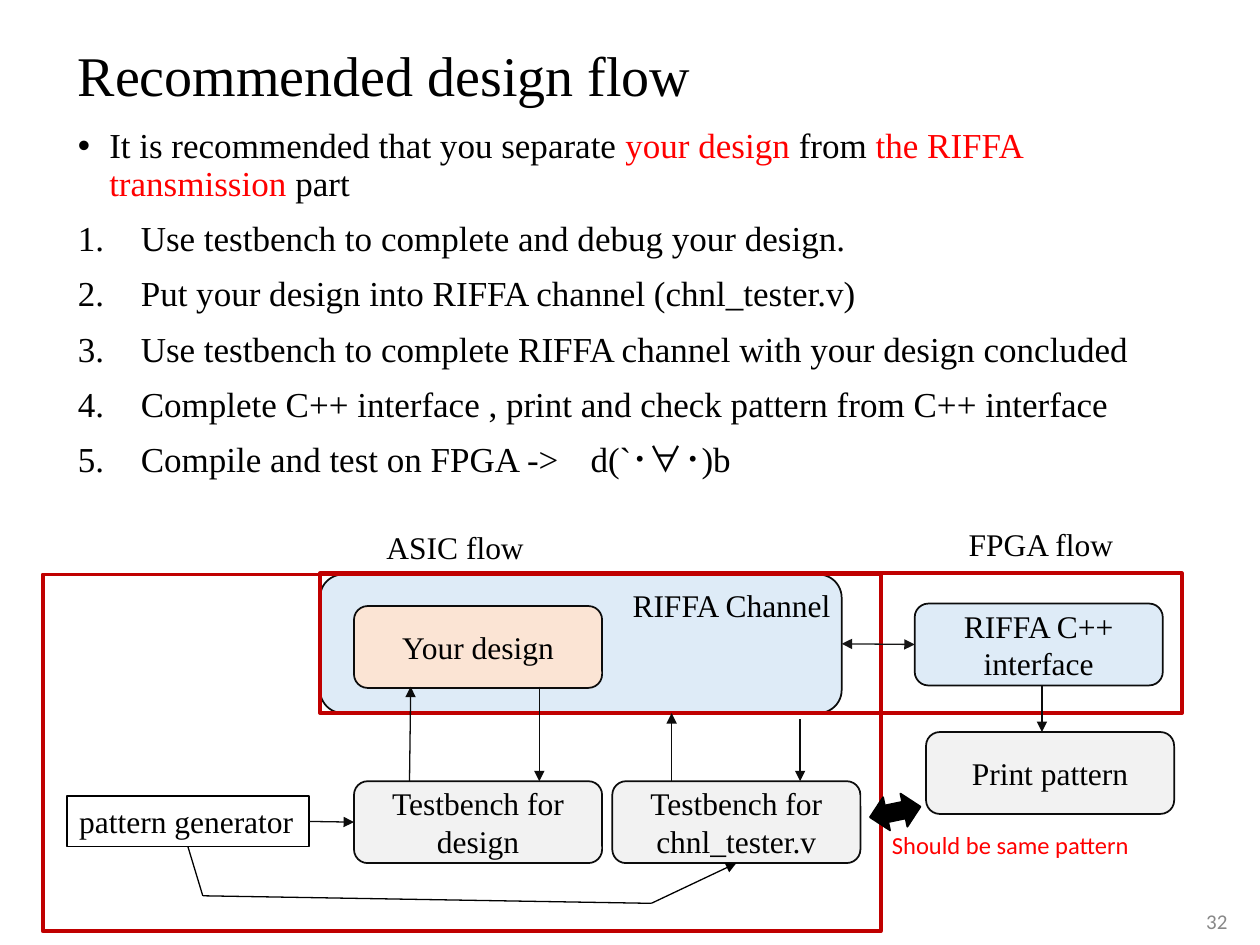
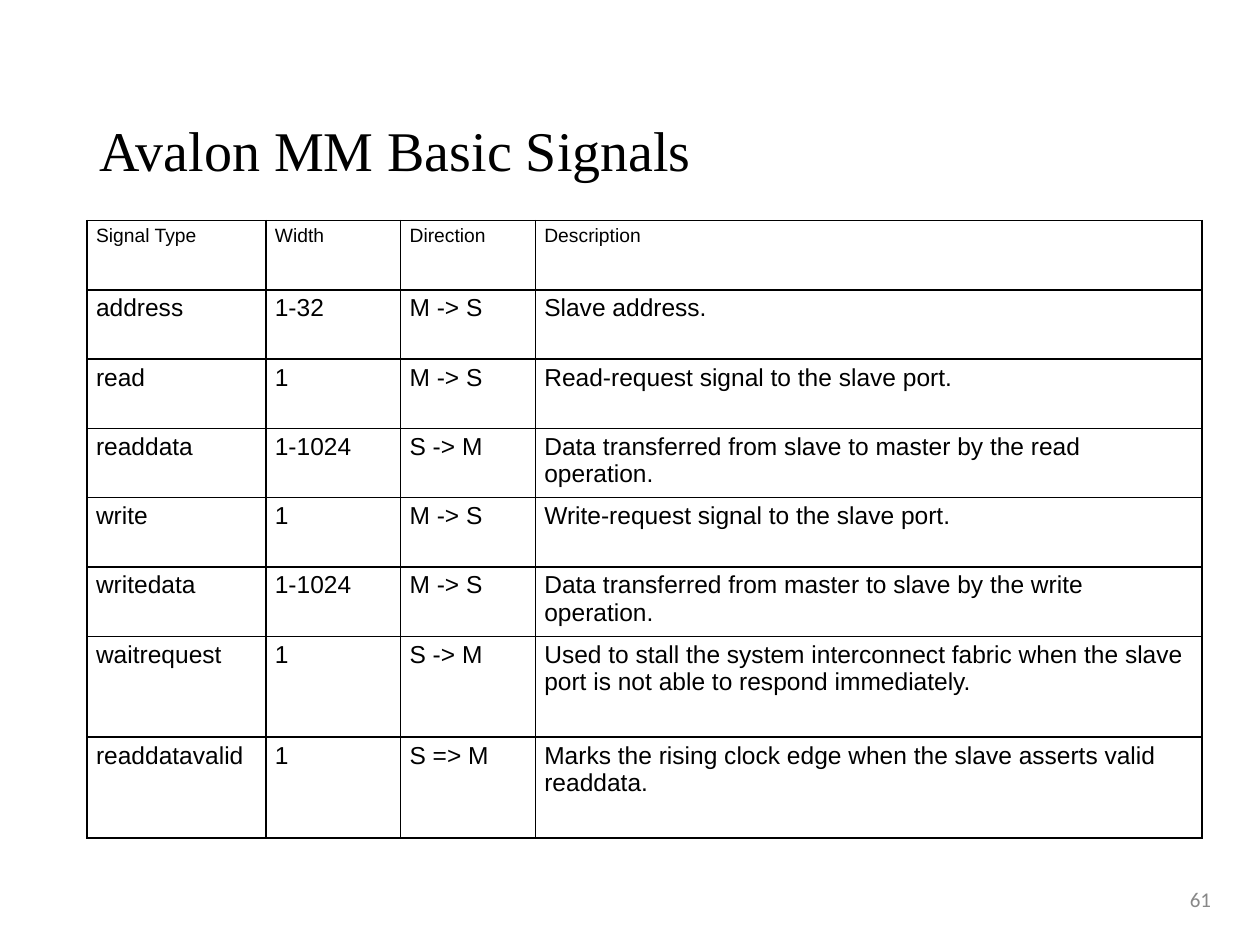
from dataclasses import dataclass
from typing import Optional

from lxml import etree
from pptx import Presentation
from pptx import util as u
from pptx.dml import color as dml
from pptx.enum import shapes, text
from pptx.oxml import ns

Pt = u.Pt
COLORS = {
    "black": "000000",
    "ink": "0C0C0C",
    "channel arrow": "171616",
    "red": "FF0000",
    "frame": "C00000",
    "blue": "DEEBF7",
    "orange": "FBE4D4",
    "grey": "F2F2F2",
    "number": "888888",
}
SERIF, SANS, TABLE_FONT = "Times New Roman", "Calibri", "Arial"
ALIGN, ANCHOR, PRESET = text.PP_ALIGN, text.MSO_ANCHOR, shapes.MSO_SHAPE
TOP, LEFT, BOTTOM, RIGHT = range(4)
NODE_WIDTH, NODE_HEIGHT = 141.8, 46.8
TESTBENCH_TOP = 446.4
DESIGN_BOTTOM = 392.4


@dataclass(frozen=True)
class Block:
    name: str
    left: float
    top: float
    width: float = NODE_WIDTH
    height: float = NODE_HEIGHT
    words: str = ""
    fill: Optional[str] = None
    line: str = "ink"
    weight: float = 1
    preset: int = PRESET.ROUNDED_RECTANGLE
    align: int = ALIGN.CENTER
    anchor: int = ANCHOR.MIDDLE
    rotation: float = 0


@dataclass(frozen=True)
class Label:
    words: str
    left: float
    top: float
    width: float
    height: float = 28.8
    size: float = 18
    font: str = SERIF
    color: str = "black"
    align: int = ALIGN.LEFT
    anchor: int = ANCHOR.TOP
    spacing: Optional[float] = None


@dataclass(frozen=True)
class Arrow:
    start: tuple
    end: tuple
    color: str = "ink"
    head: bool = False
    tail: bool = True
    source: Optional[tuple] = None
    target: Optional[tuple] = None


BLOCKS = [
    Block("channel", 182.9, 328.3, 298.1, 79.2, fill="blue"),
    Block("design", 202.3, 346.3, words="Your design", fill="orange"),
    Block("design bench", 202.3, TESTBENCH_TOP, words="Testbench for\ndesign", fill="grey"),
    Block("channel bench", 349.9, TESTBENCH_TOP, words="Testbench for\nchnl_tester.v", fill="grey"),
    Block("generator", 38.2, 455, 138.4, 28.8, "pattern generator", line="black",
          preset=PRESET.RECTANGLE, align=ALIGN.LEFT, anchor=ANCHOR.TOP),
    Block("interface", 522.7, 344.9, words="RIFFA C++ interface", fill="blue"),
    Block("print", 529.2, 418.3, words="Print pattern", fill="grey"),
    Block("ASIC frame", 24.5, 328.3, 478.8, 203.8, line="frame", weight=2.25,
          preset=PRESET.RECTANGLE),
    Block("FPGA frame", 182.9, 327.6, 492.5, 79.9, line="frame", weight=2.25,
          preset=PRESET.RECTANGLE),
    Block("same pattern", 496.8, 454.3, 29.5, 19.4, fill="black", line="black",
          preset=PRESET.LEFT_RIGHT_ARROW, rotation=348.2),
]
LABELS = [
    Label("RIFFA Channel", 354.4, 331.2, 133),
    Label("ASIC flow", 213.8, 298.1, 93.6),
    Label("FPGA flow", 546.5, 296.6, 97.9),
    Label("Should be same pattern", 502.6, 470.9, 151.2, 24.5, 14, SANS, "red"),
]
ARROWS = [
    Arrow((176.6, 469.4), (202.3, 469.8), source=("generator", RIGHT),
          target=("design bench", LEFT)),
    Arrow((234, TESTBENCH_TOP), (234.7, DESIGN_BOTTOM)),
    Arrow((308.2, DESIGN_BOTTOM), (308.2, TESTBENCH_TOP)),
    Arrow((481, 367.9), (522.7, 368.3), "channel arrow", head=True,
          source=("channel", RIGHT), target=("interface", LEFT)),
    Arrow((383.8, TESTBENCH_TOP), (383.8, 407.5)),
    Arrow((457.2, 411.1), (457.2, TESTBENCH_TOP)),
    Arrow((595.4, 391.7), (595.4, 418.3)),
    Arrow((107.4, 483.8), (115.9, 511.9), "black", tail=False, source=("generator", BOTTOM)),
    Arrow((115.9, 511.9), (372.2, 516.2), "black", tail=False),
    Arrow((372.2, 516.2), (420.8, 493.2), "black", target=("channel bench", BOTTOM)),
]
ADVICE = [
    ("It is recommended that you separate ", "black"),
    ("your design ", "red"),
    ("from", "black"),
    (" the RIFFA transmission", "red"),
    (" part", "black"),
]
STEPS = [
    "Use testbench to complete and debug your design.",
    "Put your design into RIFFA channel (chnl_tester.v)",
    "Use testbench to complete RIFFA channel with your design concluded",
    "Complete C++ interface , print and check pattern from C++ interface",
    "Compile and test on FPGA ->\t d(`･∀･)b",
]
SIGNALS = [
    ("Signal Type", "Width", "Direction", "Description"),
    ("address", "1-32", "M -> S", "Slave address."),
    ("read", "1", "M -> S", "Read-request signal to the slave port."),
    ("readdata", "1-1024", "S -> M", "Data transferred from slave to master by the read operation."),
    ("write", "1", "M -> S", "Write-request signal to the slave port."),
    ("writedata", "1-1024", "M -> S",
     "Data transferred from master to slave by the write operation."),
    ("waitrequest", "1", "S -> M",
     "Used to stall the system interconnect fabric when the slave port is not able to "
     "respond immediately."),
    ("readdatavalid", "1", "S => M",
     "Marks the rising clock edge when the slave asserts valid readdata."),
]
COLUMN_WIDTHS = [102.2, 77, 77, 380.9]
ROW_HEIGHTS = [39.6] * 6 + [57.6] * 2


def rgb(name: str) -> dml.RGBColor:
    return dml.RGBColor.from_string(COLORS[name])


def child(parent, tag: str, **attributes: str):
    return etree.SubElement(parent, ns.qn(tag), attributes)


def write(para, words: str, *, size: float = 18, font: str = SERIF, color: str = "black") -> None:
    span = para.add_run()
    span.text = words
    span.font.size = Pt(size)
    span.font.name = font
    span.font.color.rgb = rgb(color)


def add_label(page, label: Label):
    box = page.shapes.add_textbox(Pt(label.left), Pt(label.top), Pt(label.width), Pt(label.height))
    frame = box.text_frame
    frame.word_wrap = True
    frame.vertical_anchor = label.anchor
    para = frame.paragraphs[0]
    para.alignment = label.align
    para.line_spacing = label.spacing
    if label.words:
        write(para, label.words, size=label.size, font=label.font, color=label.color)
    return box


def add_title(page, words: str, left: float, top: float, width: float, height: float) -> None:
    add_label(page, Label(words, left, top, width, height, size=32,
                          anchor=ANCHOR.MIDDLE, spacing=0.9))


def add_number(page, number: int, left: float, top: float) -> None:
    add_label(page, Label(str(number), left, top, 162, size=12, font=SANS, color="number",
                          align=ALIGN.RIGHT, anchor=ANCHOR.MIDDLE))


def add_block(page, block: Block):
    box = page.shapes.add_shape(block.preset, Pt(block.left), Pt(block.top),
                                Pt(block.width), Pt(block.height))
    box.shadow.inherit = False
    box.rotation = block.rotation
    if block.fill:
        box.fill.solid()
        box.fill.fore_color.rgb = rgb(block.fill)
    else:
        box.fill.background()
    box.line.color.rgb = rgb(block.line)
    box.line.width = Pt(block.weight)
    if block.words:
        frame = box.text_frame
        frame.word_wrap = True
        frame.vertical_anchor = block.anchor
        for index, words in enumerate(block.words.split("\n")):
            para = frame.add_paragraph() if index else frame.paragraphs[0]
            para.alignment = block.align
            write(para, words)
    return box


def add_arrow(page, arrow: Arrow, boxes: dict) -> None:
    points = [Pt(value) for value in arrow.start + arrow.end]
    connector = page.shapes.add_connector(shapes.MSO_CONNECTOR.STRAIGHT, *points)
    if arrow.source:
        name, side = arrow.source
        connector.begin_connect(boxes[name], side)
    if arrow.target:
        name, side = arrow.target
        connector.end_connect(boxes[name], side)
    connector.line.color.rgb = rgb(arrow.color)
    connector.line.width = Pt(0.75)
    properties = connector.element.spPr
    line = properties.find(ns.qn("a:ln"))
    if arrow.head:
        child(line, "a:headEnd", type="triangle")
    if arrow.tail:
        child(line, "a:tailEnd", type="triangle")
    child(properties, "a:effectLst")


def add_bullet(para, indent: float, tag: str, **attributes: str) -> None:
    para.line_spacing = 0.9
    properties = para._p.get_or_add_pPr()
    properties.set("marL", str(Pt(indent)))
    properties.set("indent", str(-Pt(indent)))
    child(child(properties, "a:buClr"), "a:srgbClr", val=COLORS["black"])
    child(properties, "a:buFont", typeface=TABLE_FONT if tag == "a:buChar" else SERIF)
    child(properties, tag, **attributes)


def add_advice(page) -> None:
    frame = add_label(page, Label("", 37.4, 69.8, 650.2, 228.2)).text_frame
    para = frame.paragraphs[0]
    add_bullet(para, 18, "a:buChar", char="•")
    for words, color in ADVICE:
        write(para, words, size=20, color=color)
    for step in STEPS:
        para = frame.add_paragraph()
        para.space_before = Pt(10)
        add_bullet(para, 36, "a:buAutoNum", type="arabicPeriod")
        write(para, step, size=20)


def format_cell(cell) -> None:
    cell.margin_left = cell.margin_right = Pt(5.2)
    cell.margin_top = cell.margin_bottom = Pt(2.7)
    properties = cell._tc.get_or_add_tcPr()
    for side in "LRTB":
        line = child(properties, f"a:ln{side}", w=str(Pt(1)))
        child(child(line, "a:solidFill"), "a:srgbClr", val=COLORS["black"])
    cell.fill.background()


def add_signal_table(page) -> None:
    table = page.shapes.add_table(len(SIGNALS), len(COLUMN_WIDTHS), Pt(49.7), Pt(126),
                                  Pt(sum(COLUMN_WIDTHS)), Pt(sum(ROW_HEIGHTS))).table
    table.first_row = table.horz_banding = False
    for column, width in zip(table.columns, COLUMN_WIDTHS):
        column.width = Pt(width)
    for index, (row, height, signal) in enumerate(zip(table.rows, ROW_HEIGHTS, SIGNALS)):
        row.height = Pt(height)
        for cell, words in zip(row.cells, signal):
            format_cell(cell)
            write(cell.text_frame.paragraphs[0], words, size=14 if index else 11, font=TABLE_FONT)


def build_design_flow(page) -> None:
    add_title(page, "Recommended design flow", 37.4, 13.7, 650.2, 62.6)
    add_advice(page)
    boxes = {block.name: add_block(page, block) for block in BLOCKS}
    for label in LABELS:
        add_label(page, label)
    for arrow in ARROWS:
        add_arrow(page, arrow, boxes)
    add_number(page, 32, 546.5, 511.9)


def build_signals(page) -> None:
    add_title(page, "Avalon MM Basic Signals", 49.7, 48.2, 620.6, 78.5)
    add_signal_table(page)
    add_number(page, 61, 537.1, 499.7)


def main() -> None:
    deck = Presentation()
    deck.slide_width, deck.slide_height = Pt(720), Pt(540)
    for build in (build_design_flow, build_signals):
        build(deck.slides.add_slide(deck.slide_layouts[6]))
    deck.save("out.pptx")


if __name__ == "__main__":
    main()
